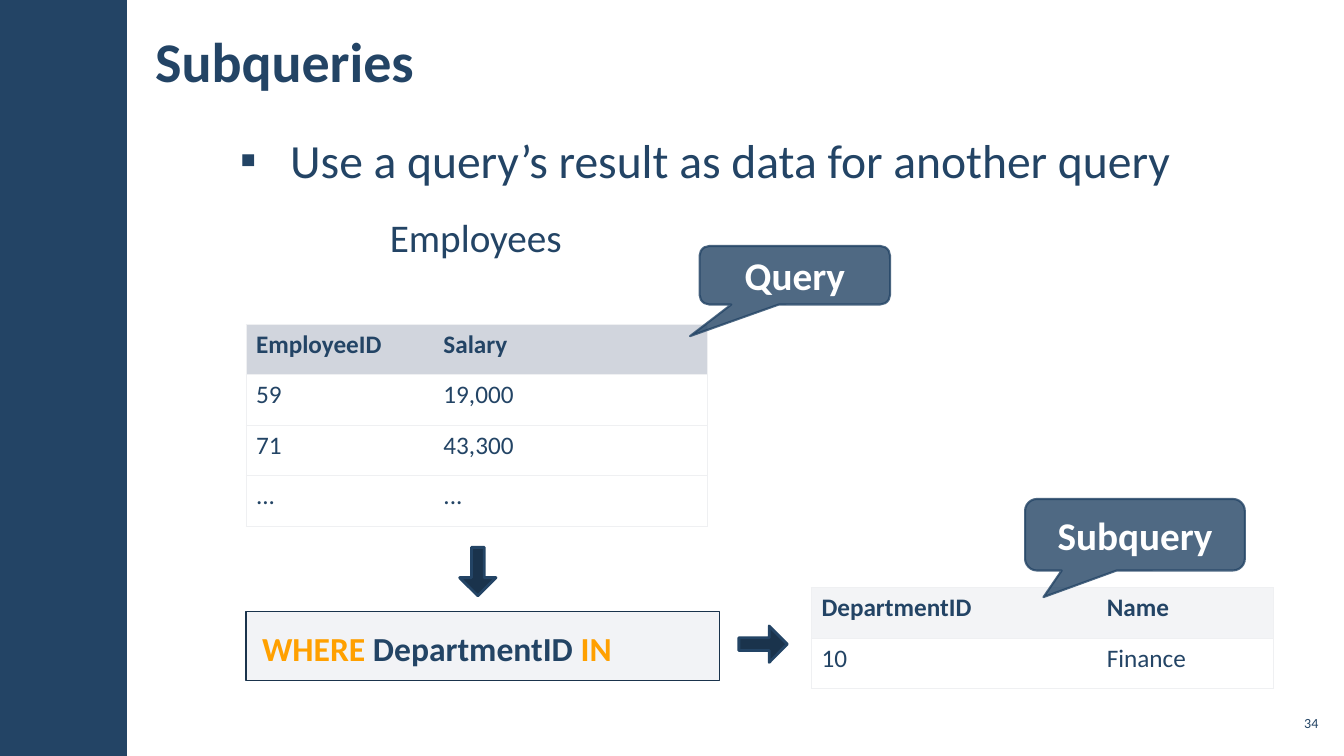
from lxml.etree import SubElement
from pptx import Presentation
from pptx.dml.color import RGBColor
from pptx.enum.shapes import MSO_SHAPE
from pptx.enum.text import MSO_ANCHOR, MSO_AUTO_SIZE, PP_ALIGN
from pptx.oxml.ns import qn
from pptx.util import Pt

NAVY = RGBColor(0x23, 0x44, 0x65)
DARK_NAVY = RGBColor(0x1A, 0x33, 0x4C)
WHITE = RGBColor(0xFF, 0xFF, 0xFF)
ORANGE = RGBColor(0xFF, 0xA0, 0x00)
BORDER = RGBColor(0xEF, 0xF0, 0xF2)
HEADER_GREY = RGBColor(0xD1, 0xD5, 0xDD)
HEADER_PALE = RGBColor(0xF3, 0xF4, 0xF6)
CLAUSE_GREY = RGBColor(0xAD, 0xB4, 0xC3)

FONT = "Calibri"
TABLES_LEFT = 175.7
ROW_HEIGHT = 36


def set_values(target, values):
    for attribute, value in values.items():
        setattr(target, attribute, value)


def place(element, left, top, width, height):
    set_values(element, {"left": Pt(left), "top": Pt(top),
                         "width": Pt(width), "height": Pt(height)})


def format_frame(frame, side, edge, anchor=MSO_ANCHOR.TOP, wrap=True):
    set_values(frame, {
        "margin_left": Pt(side), "margin_right": Pt(side),
        "margin_top": Pt(edge), "margin_bottom": Pt(edge),
        "vertical_anchor": anchor, "word_wrap": wrap,
        "auto_size": MSO_AUTO_SIZE.NONE,
    })


def write(frame, words, size, color=NAVY, bold=False, **paragraph_format):
    """Add words to the first paragraph of the frame as one run."""
    paragraph = frame.paragraphs[0]
    set_values(paragraph, paragraph_format)
    run = paragraph.add_run()
    run.text = words
    set_values(run.font, {"name": FONT, "size": Pt(size), "bold": bold})
    run.font.color.rgb = color


def add_bullet(paragraph, indent):
    properties = paragraph._p.get_or_add_pPr()
    properties.set("marL", str(Pt(indent)))
    properties.set("indent", str(-Pt(indent)))
    SubElement(properties, qn("a:buChar")).set("char", "▪")


def add_label(slide, box, words, size, side, edge, anchor, wrap, align):
    label = slide.shapes.add_textbox(*map(Pt, box))
    format_frame(label.text_frame, side, edge, anchor, wrap)
    write(label.text_frame, words, size, alignment=align)


def add_figure(slide, preset, box, fill, line=None, line_width=0,
               adjustments=(), opacities=()):
    """Add a preset shape; opacities are percentages for fill, then line."""
    figure = slide.shapes.add_shape(preset, *map(Pt, box))
    figure.shadow.inherit = False
    figure.fill.solid()
    figure.fill.fore_color.rgb = fill
    if line is None:
        figure.line.fill.background()
    else:
        figure.line.color.rgb = line
        figure.line.width = Pt(line_width)
    for index, value in enumerate(adjustments):
        figure.adjustments[index] = value
    colors = figure._element.spPr.iter(qn("a:srgbClr"))
    for color, opacity in zip(list(colors), opacities):
        SubElement(color, qn("a:alpha")).set("val", str(opacity * 1000))
    return figure


def add_arrow(slide, left, top, rotation):
    arrow = add_figure(slide, MSO_SHAPE.UP_ARROW, (left, top, 26, 34.6),
                       DARK_NAVY, NAVY, 2, (0.354, 0.5))
    arrow.rotation = rotation


def add_callout(slide, box, words, tail):
    callout = add_figure(slide, MSO_SHAPE.ROUNDED_RECTANGULAR_CALLOUT, box,
                         NAVY, NAVY, 1.5, (*tail, 0.167), (80, 80))
    format_frame(callout.text_frame, 7.2, 3.6, MSO_ANCHOR.MIDDLE)
    write(callout.text_frame, words, 28, WHITE, True,
          alignment=PP_ALIGN.CENTER)


def add_borders(cell, is_first, is_last):
    """Draw every border of the cell except those between columns."""
    properties = cell._tc.get_or_add_tcPr()
    shown = {"L": is_first, "R": is_last, "T": True, "B": True}
    for side, visible in shown.items():
        border = SubElement(properties, qn(f"a:ln{side}"))
        border.set("w", str(Pt(0.75)))
        if visible:
            fill = SubElement(border, qn("a:solidFill"))
            SubElement(fill, qn("a:srgbClr")).set("val", str(BORDER))
        else:
            SubElement(border, qn("a:noFill"))


def add_data_table(slide, left, top, widths, rows, header_fill):
    table = slide.shapes.add_table(
        len(rows), len(widths), Pt(left), Pt(top),
        Pt(sum(widths)), Pt(ROW_HEIGHT * len(rows))).table
    set_values(table, {"first_row": False, "horz_banding": False})
    for column, width in zip(table.columns, widths):
        column.width = Pt(width)
    for r, row in enumerate(rows):
        table.rows[r].height = Pt(ROW_HEIGHT)
        for c, value in enumerate(row):
            cell = table.cell(r, c)
            add_borders(cell, c == 0, c == len(widths) - 1)
            if r == 0:
                cell.fill.solid()
                cell.fill.fore_color.rgb = header_fill
            else:
                cell.fill.background()
            write(cell.text_frame, value, 18, bold=r == 0)


def add_where_clause(slide):
    clause = add_figure(slide, MSO_SHAPE.RECTANGLE,
                        (TABLES_LEFT, 437, 338.4, 49), CLAUSE_GREY,
                        DARK_NAVY, 1, opacities=(15,))
    format_frame(clause.text_frame, 11.5, 8.6)
    for words, color in (("WHERE ", ORANGE), ("DepartmentID ", NAVY),
                         ("IN", ORANGE)):
        write(clause.text_frame, words, 24, color, True,
              alignment=PP_ALIGN.LEFT, line_spacing=1.1)


def fill_placeholders(slide):
    title, body = slide.placeholders
    place(title, 102.2, 7.9, 661.7, 69.8)
    format_frame(title.text_frame, 8.6, 2.9, MSO_ANCHOR.MIDDLE)
    write(title.text_frame, "Subqueries", 40, bold=True,
          alignment=PP_ALIGN.LEFT)
    place(body, 162.7, 88.6, 781.9, 415.4)
    format_frame(body.text_frame, 8.6, 2.9)
    write(body.text_frame, "Use a query’s result as data for another query",
          34, line_spacing=1.05, space_before=Pt(6), space_after=Pt(6))
    add_bullet(body.text_frame.paragraphs[0], 36)


def main():
    deck = Presentation()
    set_values(deck, {"slide_width": Pt(960), "slide_height": Pt(540)})
    slide = deck.slides.add_slide(deck.slide_layouts[1])

    add_figure(slide, MSO_SHAPE.RECTANGLE, (0, 0, 90.7, 540), NAVY)
    fill_placeholders(slide)
    add_label(slide, (910.8, 504, 33.8, 24.5), "34", 10, 2.9, 2.9,
              MSO_ANCHOR.MIDDLE, True, PP_ALIGN.RIGHT)
    add_label(slide, (271.4, 149, 138.2, 41), "Employees", 28, 7.2, 3.6,
              MSO_ANCHOR.TOP, False, PP_ALIGN.LEFT)

    add_data_table(slide, TABLES_LEFT, 231.8, (133.9, 195.8),
                   (("EmployeeID", "Salary"), ("59", "19,000"),
                    ("71", "43,300"), ("...", "...")), HEADER_GREY)
    add_data_table(slide, 579.6, 419.8, (203.8, 126),
                   (("DepartmentID", "Name"), ("10", "Finance")),
                   HEADER_PALE)

    add_arrow(slide, 328.3, 391, 180)
    add_arrow(slide, 532.1, 442.8, 90)
    add_callout(slide, (499.7, 175.7, 136.1, 41.8), "Query", (-0.55, 1.041))
    add_callout(slide, (732.2, 356.4, 157, 51.1), "Subquery",
                (-0.416, 0.872))
    add_where_clause(slide)
    deck.save("out.pptx")


if __name__ == "__main__":
    main()
